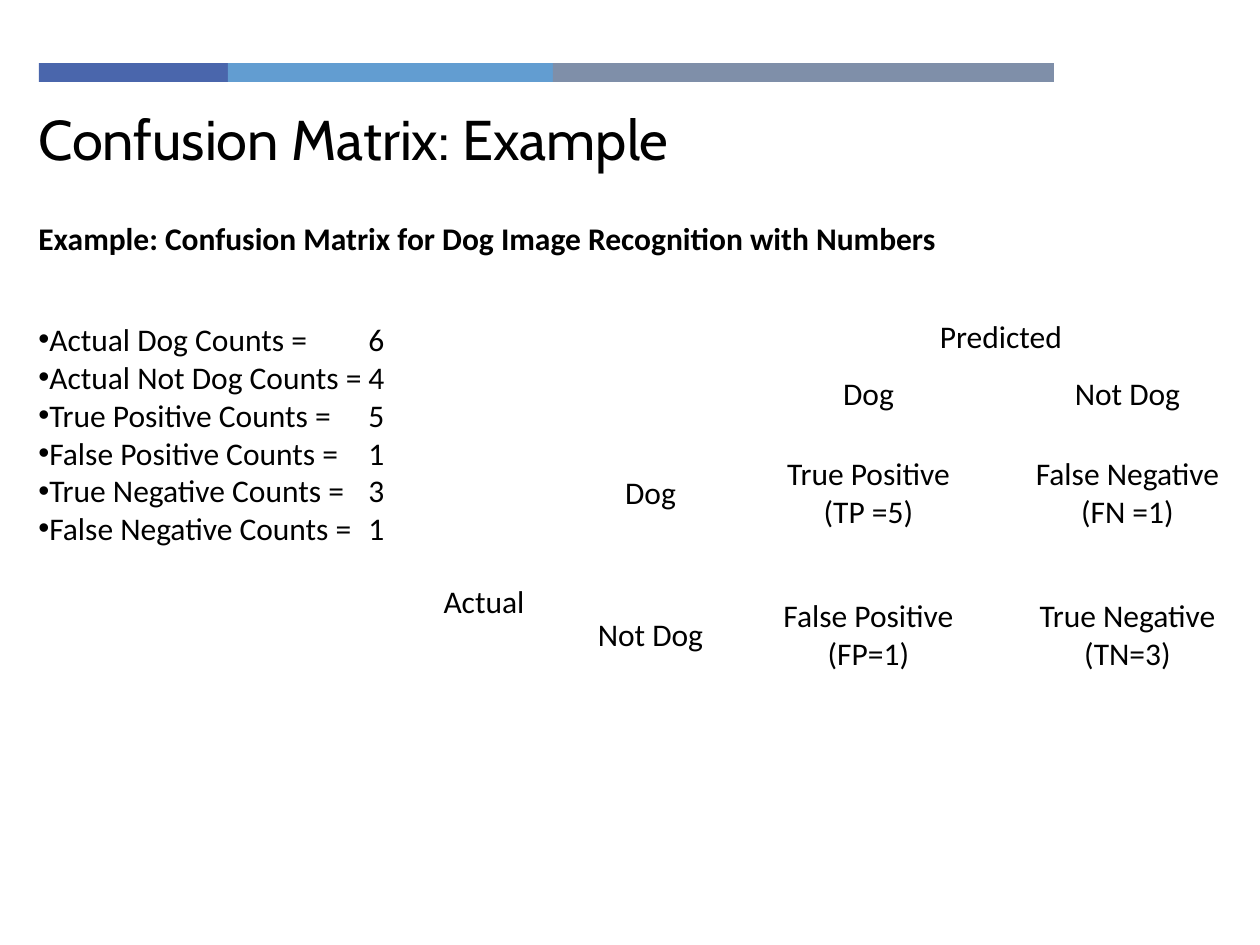
from lxml.etree import SubElement
from pptx import Presentation
from pptx.dml.color import RGBColor
from pptx.enum.shapes import MSO_SHAPE as Shape
from pptx.enum.text import MSO_ANCHOR as Anchor, PP_ALIGN as Align
from pptx.oxml.ns import qn
from pptx.util import Pt

BLACK = RGBColor(0x00, 0x00, 0x00)
BLUE = RGBColor(0x4A, 0x66, 0xAC)
SKY = RGBColor(0x62, 0x9D, 0xD1)
SLATE = RGBColor(0x7F, 0x8F, 0xA9)

TITLE = "Confusion Matrix: Example"
LEAD = "Example: Confusion Matrix for Dog Image Recognition with Numbers"
BARS = [(189, BLUE), (325, SKY), (501, SLATE)]
COUNTS = [
    ("Actual Dog Counts =", 6),
    ("Actual Not Dog Counts =", 4),
    ("True Positive Counts =", 5),
    ("False Positive Counts =", 1),
    ("True Negative Counts =", 3),
    ("False Negative Counts =", 1),
]
MATRIX = [
    ["", "", "Predicted", ""],
    ["", "", "Dog", "Not Dog"],
    ["Actual", "Dog", "True Positive\v(TP =5)", "False Negative\v(FN =1)"],
    ["", "Not Dog", "False Positive\v(FP=1)", "True Negative\v(TN=3)"],
]
SPANS = [((0, 0), (1, 1)), ((0, 2), (0, 3)), ((2, 0), (3, 0))]
COLS = [150, 183, 253, 265]
ROWS = [57, 57, 142, 142]
TAB = 330
DROP = 82


def px(n):
    return round(n * 914400 / 126)


def style(frame, size=18, name="Calibri", bold=False):
    for para in frame.paragraphs:
        for run in para.runs:
            font = run.font
            font.size, font.name, font.bold = Pt(size), name, bold
            font.color.rgb = BLACK


def add_text(slide, box, text, **look):
    frame = slide.shapes.add_textbox(*map(px, box)).text_frame
    frame.word_wrap = True
    frame.text = text
    style(frame, **look)
    return frame


def add_bars(slide):
    left = 39
    for width, fill in BARS:
        bar = slide.shapes.add_shape(
            Shape.RECTANGLE, px(left), px(63), px(width), px(19))
        bar.shadow.inherit = False
        bar.fill.solid()
        bar.fill.fore_color.rgb = fill
        bar.line.fill.background()
        left += width


def add_counts(slide):
    text = "\n".join(f"{label}\t{count}" for label, count in COUNTS)
    frame = add_text(slide, (26, 314, 455, 242), text)
    for para in frame.paragraphs:
        props = para._p.get_or_add_pPr()
        props.set("marL", "0")
        props.set("indent", "0")
        SubElement(props, qn("a:buFont"), typeface="Arial")
        SubElement(props, qn("a:buChar"), char="•")
        tabs = SubElement(props, qn("a:tabLst"))
        SubElement(tabs, qn("a:tab"), pos=str(px(TAB)), algn="l")


def add_matrix(slide):
    table = slide.shapes.add_table(
        len(ROWS), len(COLS), px(409), px(309),
        px(sum(COLS)), px(sum(ROWS))).table
    table.first_row = table.horz_banding = False
    for col, width in zip(table.columns, COLS):
        col.width = px(width)
    for row, height in zip(table.rows, ROWS):
        row.height = px(height)
    for start, end in SPANS:
        table.cell(*start).merge(table.cell(*end))
    for r, line in enumerate(MATRIX):
        for c, text in enumerate(line):
            cell = table.cell(r, c)
            cell.fill.background()
            cell.vertical_anchor = Anchor.MIDDLE
            if text:
                cell.text_frame.text = text
                cell.text_frame.paragraphs[0].alignment = Align.CENTER
                style(cell.text_frame)
    table.cell(2, 0).margin_top = px(DROP)


def main():
    deck = Presentation()
    deck.slide_width, deck.slide_height = px(1260), px(945)
    slide = deck.slides.add_slide(deck.slide_layouts[6])
    add_bars(slide)
    title = add_text(slide, (26, 87, 1154, 102), TITLE, size=32, name="Cabin")
    title.vertical_anchor = Anchor.MIDDLE
    add_text(slide, (26, 213, 1167, 50), LEAD, bold=True)
    add_counts(slide)
    add_matrix(slide)
    deck.save("out.pptx")


if __name__ == "__main__":
    main()
